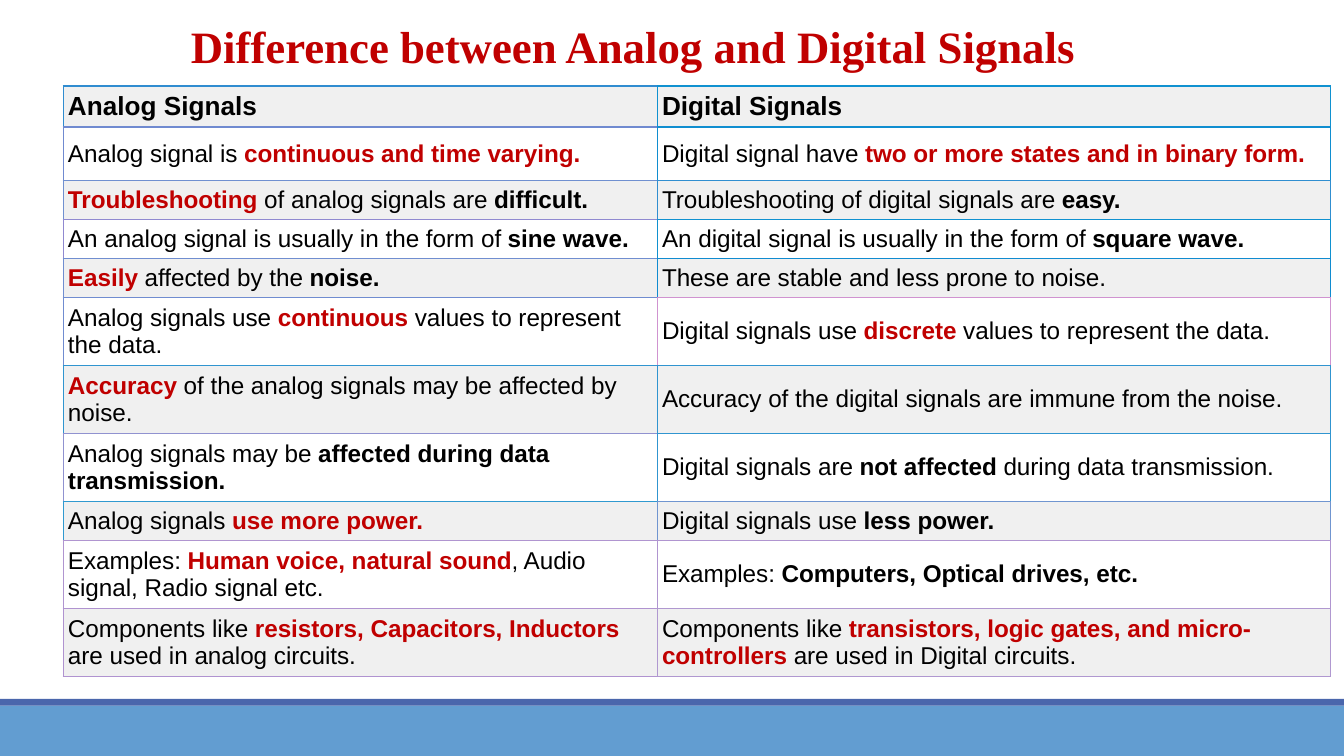
from lxml import etree
from pptx import Presentation, util as u
from pptx.dml.color import RGBColor
from pptx.enum import shapes, text
from pptx.oxml.ns import qn

RED = RGBColor(0xC0, 0x00, 0x00)
BLACK = RGBColor(0x00, 0x00, 0x00)
WHITE = RGBColor(0xFF, 0xFF, 0xFF)
GREY = RGBColor(0xF0, 0xF0, 0xF0)
SKY = RGBColor(0x62, 0x9D, 0xD1)
NAVY = RGBColor(0x4A, 0x66, 0xAC)

# Between stars: bold. With a leading exclamation mark: bold and red.
ROWS = [
    ("*Analog Signals*", "*Digital Signals*"),
    ("Analog signal is *!continuous and time varying.*",
     "Digital signal have *!two or more states and in binary form.*"),
    ("*!Troubleshooting* of analog signals are *difficult.*",
     "Troubleshooting of digital signals are *easy.*"),
    ("An analog signal is usually in the form of *sine wave.*",
     "An digital signal is usually in the form of *square wave.*"),
    ("*!Easily* affected by the *noise.*",
     "These are stable and less prone to noise."),
    ("Analog signals use *!continuous* values to represent the data.",
     "Digital signals use *!discrete* values to represent the data."),
    ("*!Accuracy* of the analog signals may be affected by noise.",
     "Accuracy of the digital signals are immune from the noise."),
    ("Analog signals may be *affected during data transmission.*",
     "Digital signals are *not affected *during data transmission."),
    ("Analog signals *!use more power.*",
     "Digital signals use *less power.*"),
    ("Examples: *!Human voice, natural sound*, Audio signal, Radio signal etc.",
     "Examples: *Computers, Optical drives, etc.*"),
    ("Components like *!resistors, Capacitors, Inductors *are used in analog circuits.",
     "Components like *!transistors, logic gates, and micro-controllers *"
     "are used in Digital circuits."),
]
ROW_HEIGHTS = [0.28, 0.4, 0.28, 0.22, 0.28, 0.48, 0.48, 0.48, 0.28, 0.48, 0.48]
COLUMN_WIDTHS = [4.42, 5.01]
# Left and top colour of each row's two cells; the last pair closes the table.
EDGES = [
    ("308CD0", "1091D0"), ("708AD0", "108ED0"), ("7090D0", "308ED0"),
    ("9089D0", "1091D0"), ("708ED0", "108BD0"), ("708CD0", "D093D0"),
    ("3095D0", "3094D0"), ("9092D0", "3095D0"), ("3099D0", "7095D0"),
    ("B095D0", "B095D0"), ("B093D0", "B098D0"), ("B093D0", "B098D0"),
]


def set_format(target, values):
    for name, value in values.items():
        setattr(target, name, value)


def add_border(cell, side, colour):
    properties = cell._tc.get_or_add_tcPr()
    line = etree.SubElement(properties, qn(f"a:ln{side}"), w=str(u.Pt(0.75)))
    fill = etree.SubElement(line, qn("a:solidFill"))
    etree.SubElement(fill, qn("a:srgbClr"), val=colour)


presentation = Presentation()
width = u.Inches(10)
height = width * 9 // 16
set_format(presentation, {"slide_width": width, "slide_height": height})
slide = presentation.slides.add_slide(presentation.slide_layouts[5])

# Footer bands
for top, depth, colour in ((5.25, 0.38, SKY), (5.2, 0.05, NAVY)):
    band = slide.shapes.add_shape(
        shapes.MSO_SHAPE.RECTANGLE, 0, u.Inches(top), width, u.Inches(depth))
    band.shadow.inherit = False
    band.fill.solid()
    band.fill.fore_color.rgb = colour
    band.line.fill.background()

# Title
title = slide.shapes.title
set_format(title, {"left": u.Inches(1.32), "top": u.Inches(0.09),
                   "width": u.Inches(7.74), "height": u.Inches(0.5)})
set_format(title.text_frame, {
    "text": "Difference between Analog and Digital Signals", "word_wrap": True,
    "auto_size": text.MSO_AUTO_SIZE.SHAPE_TO_FIT_TEXT,
    "vertical_anchor": text.MSO_ANCHOR.TOP})
paragraph = title.text_frame.paragraphs[0]
paragraph.alignment = text.PP_ALIGN.LEFT
font = paragraph.runs[0].font
set_format(font, {"name": "Times New Roman", "size": u.Pt(24), "bold": True})
font.color.rgb = RED

# Comparison table
table = slide.shapes.add_table(
    len(ROWS), len(COLUMN_WIDTHS), u.Inches(0.47), u.Inches(0.64),
    u.Inches(sum(COLUMN_WIDTHS)), u.Inches(sum(ROW_HEIGHTS))).table
for column, inches in zip(table.columns, COLUMN_WIDTHS):
    column.width = u.Inches(inches)
for row, inches in zip(table.rows, ROW_HEIGHTS):
    row.height = u.Inches(inches)

margins = {f"margin_{side}": u.Pt(2.6) for side in ("left", "right", "top", "bottom")}
for row_index, row_texts in enumerate(ROWS):
    for column_index, cell_text in enumerate(row_texts):
        cell = table.cell(row_index, column_index)
        set_format(cell, {**margins, "vertical_anchor": text.MSO_ANCHOR.MIDDLE})
        own, below = EDGES[row_index][column_index], EDGES[row_index + 1][column_index]
        for side, colour in zip("LRTB", (own, EDGES[row_index][1], own, below)):
            add_border(cell, side, colour)
        cell.fill.solid()
        cell.fill.fore_color.rgb = WHITE if row_index % 2 else GREY

        paragraph = cell.text_frame.paragraphs[0]
        for part_index, part in enumerate(cell_text.split("*")):
            if not part:
                continue
            run = paragraph.add_run()
            run.text = part.lstrip("!")
            set_format(run.font, {"name": "Arial", "bold": part_index % 2 == 1,
                                  "size": u.Pt(13 if row_index else 14)})
            run.font.color.rgb = RED if part.startswith("!") else BLACK

presentation.save("out.pptx")
